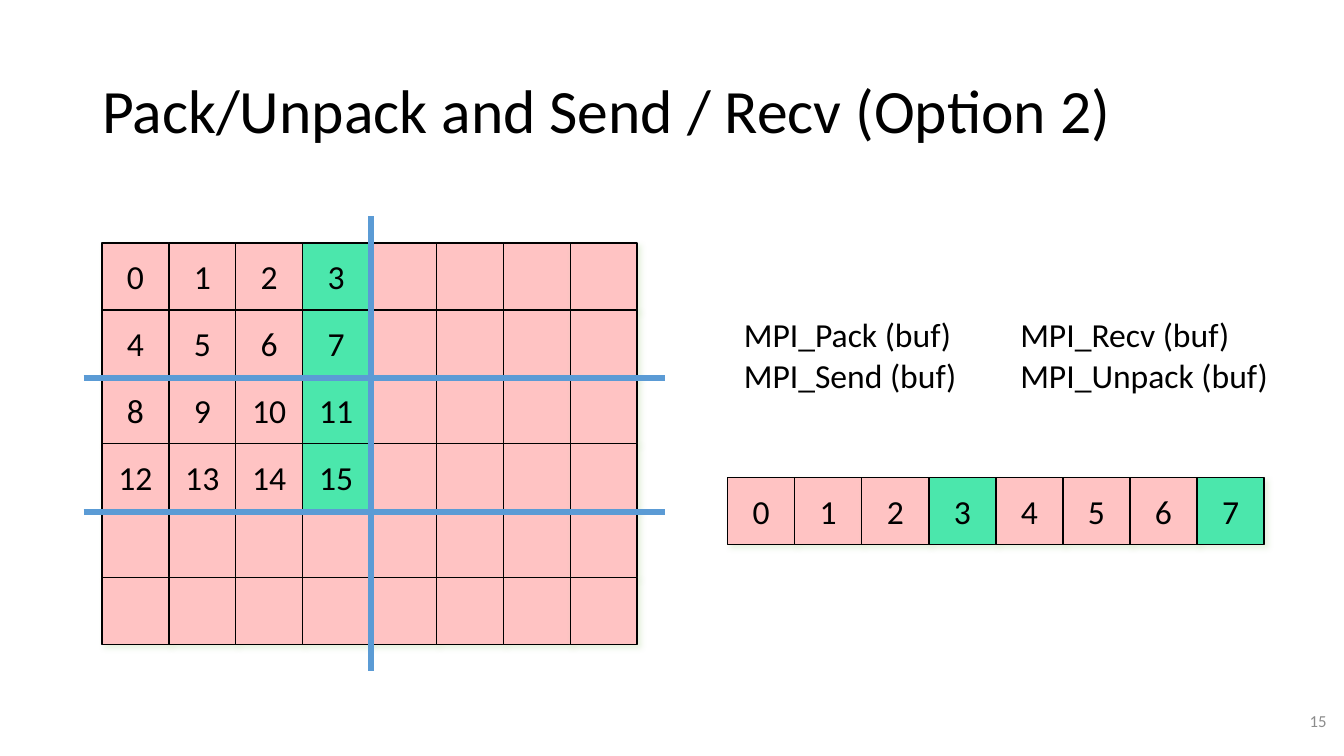
import dataclasses
import pptx
import pptx.dml.color
import pptx.enum.shapes
import pptx.enum.text
import pptx.oxml
import pptx.oxml.ns
import pptx.util

Pt = pptx.util.Pt
RGB = pptx.dml.color.RGBColor.from_string
Align = pptx.enum.text.PP_ALIGN
Anchor = pptx.enum.text.MSO_ANCHOR


@dataclasses.dataclass(frozen=True)
class Theme:
    font: str = "Calibri"
    ink: str = "000000"
    cell: str = "FFC3C3"
    mark: str = "4BE7AC"
    cut: str = "5B9BD5"
    shade: str = "C5E0B4"
    faint: str = "8C8C8C"
    head: float = 44
    body: float = 24
    small: float = 12
    thin: float = 1
    thick: float = 4.5


THEME = Theme()


def write(frame, lines, size, color, align=Align.LEFT, space=None):
    for i, line in enumerate(lines):
        para = frame.paragraphs[0] if i == 0 else frame.add_paragraph()
        para.alignment = align
        para.line_spacing = space
        run = para.add_run()
        run.text = line
        run.font.name = THEME.font
        run.font.size = Pt(size)
        run.font.color.rgb = RGB(color)


def label(slide, box, lines, size, color, align=Align.LEFT,
          anchor=Anchor.TOP, wrap=True, space=None):
    frame = slide.shapes.add_textbox(*map(Pt, box)).text_frame
    frame.word_wrap = wrap
    frame.vertical_anchor = anchor
    write(frame, lines, size, color, align, space)


def shadow(shape):
    shape.shadow.inherit = False
    holder = shape._element.spPr.find(pptx.oxml.ns.qn("a:effectLst"))
    holder.append(pptx.oxml.parse_xml(
        f'<a:outerShdw {pptx.oxml.ns.nsdecls("a")} blurRad="{Pt(4)}" '
        f'dist="{Pt(3)}" dir="2700000" algn="tl" rotWithShape="0">'
        f'<a:srgbClr val="{THEME.shade}"><a:alpha val="40000"/></a:srgbClr>'
        '</a:outerShdw>'))


def cell(slide, left, top, side, text, marked):
    shape = slide.shapes.add_shape(
        pptx.enum.shapes.MSO_SHAPE.RECTANGLE, *map(Pt, (left, top, side, side)))
    shape.fill.solid()
    shape.fill.fore_color.rgb = RGB(THEME.mark if marked else THEME.cell)
    shape.line.color.rgb = RGB(THEME.ink)
    shape.line.width = Pt(THEME.thin)
    shadow(shape)
    if text:
        frame = shape.text_frame
        frame.word_wrap = False
        frame.vertical_anchor = Anchor.MIDDLE
        write(frame, [text], THEME.body, THEME.ink, Align.CENTER)


def cut(slide, start, end):
    line = slide.shapes.add_connector(
        pptx.enum.shapes.MSO_CONNECTOR.STRAIGHT, *map(Pt, start + end))
    line.line.color.rgb = RGB(THEME.cut)
    line.line.width = Pt(THEME.thick)
    line._element.spPr.append(pptx.oxml.parse_xml(
        f'<a:effectLst {pptx.oxml.ns.nsdecls("a")}/>'))


def grid(slide, box):
    left, top, width, height = box
    cols, rows, part = 8, 6, 4
    side = width / cols
    for row in range(rows):
        for col in range(cols):
            filled = row < part and col < part
            text = str(row * part + col) if filled else ""
            cell(slide, left + col * side, top + row * side, side,
                 text, filled and col == part - 1)
    for row in (2, 4):
        y = top + row * side + 1
        cut(slide, (left - 13, y), (left + width + 20, y))
    x = left + part * side + 1
    cut(slide, (x, top - 19), (x, top + height + 19))


def buffer(slide, box):
    left, top, width, side = box
    for i in range(8):
        cell(slide, left + i * width / 8, top, side, str(i), i % 4 == 3)


def calls(slide, box):
    left, top, width, height = box
    pairs = [["MPI_Pack (buf)", "MPI_Send (buf)"],
             ["MPI_Recv (buf)", "MPI_Unpack (buf)"]]
    for i, lines in enumerate(pairs):
        label(slide, (left + i * width / 2, top, width / 2, height),
              lines, THEME.body, THEME.ink, wrap=False)


def main():
    deck = pptx.Presentation()
    deck.slide_width, deck.slide_height = Pt(960), Pt(540)
    slide = deck.slides.add_slide(deck.slide_layouts[6])
    label(slide, (66, 28.8, 828, 104.4),
          ["Pack/Unpack and Send / Recv (Option 2)"],
          THEME.head, THEME.ink, anchor=Anchor.MIDDLE, space=0.9)
    grid(slide, (72.8, 173.6, 382.4, 286.8))
    calls(slide, (524.2, 221, 395, 65.5))
    buffer(slide, (519.8, 341.3, 383.2, 47.8))
    label(slide, (738.7, 500.4, 216, 28.8), ["15"], THEME.small,
          THEME.faint, Align.RIGHT, Anchor.MIDDLE)
    deck.save("out.pptx")


if __name__ == "__main__":
    main()
